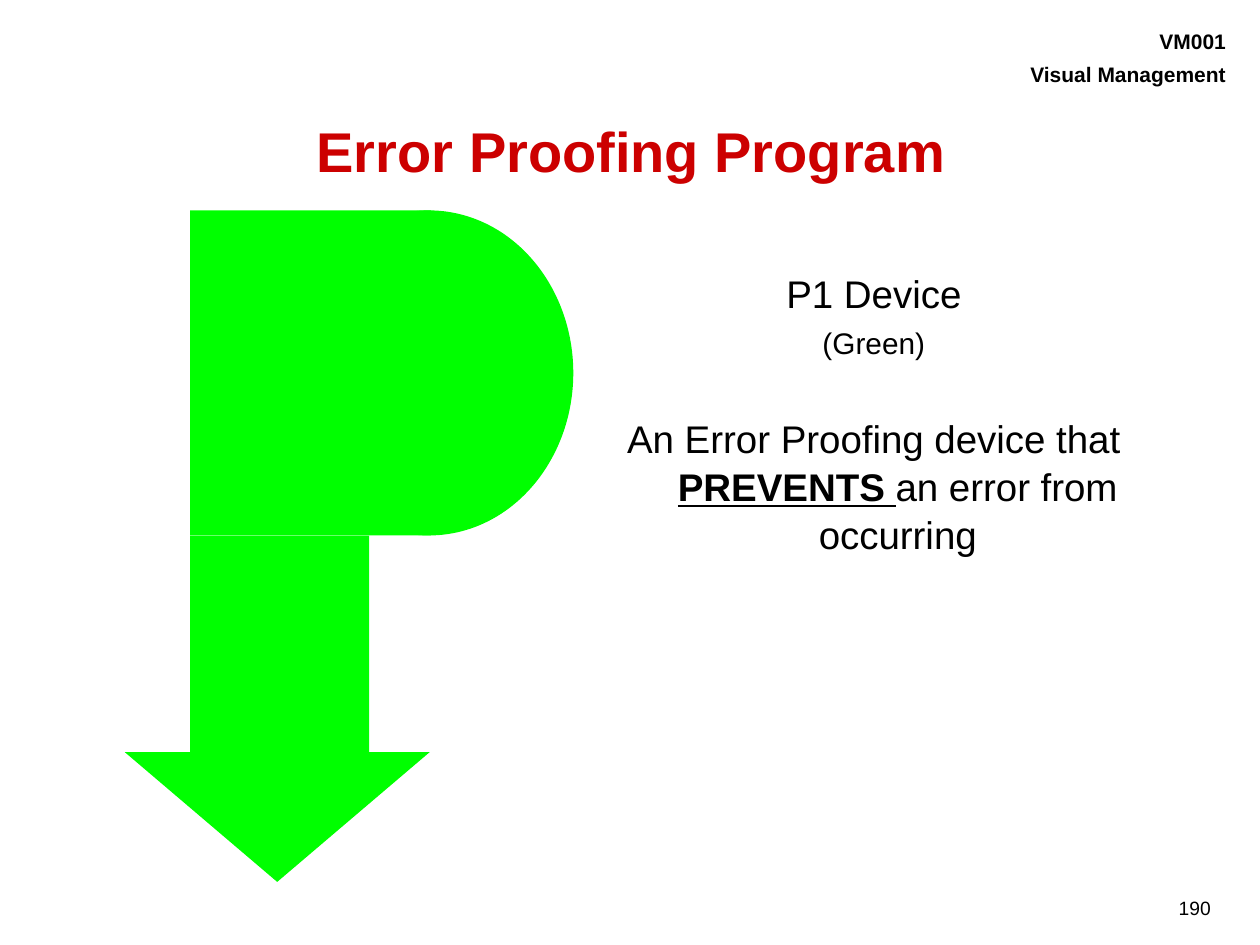
import pptx
import pptx.util
import pptx.dml.color
import pptx.enum.shapes
import pptx.enum.text

Inches = pptx.util.Inches
Pt = pptx.util.Pt
RGBColor = pptx.dml.color.RGBColor
Shape = pptx.enum.shapes.MSO_SHAPE
Align = pptx.enum.text.PP_ALIGN
Anchor = pptx.enum.text.MSO_ANCHOR

GREEN = RGBColor(0x00, 0xFF, 0x00)
RED = RGBColor(0xCC, 0x00, 0x00)
BLACK = RGBColor(0x00, 0x00, 0x00)


class Deck:
    font = "Arial"

    def __init__(self, slide):
        self.slide = slide

    def paint(self, shape):
        shape.shadow.inherit = False
        shape.fill.solid()
        shape.fill.fore_color.rgb = GREEN
        shape.line.fill.background()

    def block(self, kind, box):
        self.paint(self.slide.shapes.add_shape(kind, *map(Inches, box)))

    def outline(self, points):
        start, *rest = [(Inches(x), Inches(y)) for x, y in points]
        pen = self.slide.shapes.build_freeform(*start)
        pen.add_line_segments(rest, close=True)
        self.paint(pen.convert_to_shape())

    def text(self, box, lines, align, color=BLACK, bold=False,
             pad=(0.1, 0.05), anchor=Anchor.TOP, pitch=1.0, indent=0):
        frame = self.slide.shapes.add_textbox(*map(Inches, box)).text_frame
        frame.word_wrap = True
        frame.vertical_anchor = anchor
        frame.margin_left = frame.margin_right = Inches(pad[0])
        frame.margin_top = frame.margin_bottom = Inches(pad[1])
        frame.text = "\n".join(words for words, size, gap in lines)
        for para, (words, size, gap) in zip(frame.paragraphs, lines):
            if indent:
                props = para._p.get_or_add_pPr()
                props.set("marL", str(Inches(indent)))
                props.set("indent", str(-Inches(indent)))
            para.alignment = align
            para.line_spacing = pitch
            para.space_before = Pt(gap)
            for run in para.runs:
                self.style(run, size, color, bold)
        return frame

    def style(self, run, size, color=BLACK, bold=False, under=False):
        run.font.name = self.font
        run.font.size = Pt(size)
        run.font.color.rgb = color
        run.font.bold = bold
        run.font.underline = under


def main():
    show = pptx.Presentation()
    show.slide_width, show.slide_height = Inches(10), Inches(7.5)
    deck = Deck(show.slides.add_slide(show.slide_layouts[6]))

    deck.text((7.39, 7.07, 2.31, 0.27), [("190", 11, 0)], Align.RIGHT,
              pad=(0.09, 0.04))
    deck.text((7.38, 0.23, 2.35, 0.5),
              [("VM001", 12, 0), ("Visual Management", 12, 4)],
              Align.RIGHT, bold=True, pad=(0, 0))

    deck.block(Shape.RECTANGLE, (1.51, 1.67, 1.91, 2.58))
    deck.outline([(2.87, 4.27), (1.52, 4.27), (1.52, 5.97), (0.99, 5.97),
                  (2.2, 7), (3.41, 5.97), (2.87, 5.97)])
    deck.block(Shape.OVAL, (2.26, 1.67, 2.29, 2.58))
    deck.block(Shape.RECTANGLE, (1.51, 4.25, 1.42, 1.75))

    deck.text((0.77, 0.81, 8.48, 0.85), [("Error Proofing Program", 32, 0)],
              Align.CENTER, RED, True, anchor=Anchor.MIDDLE, pitch=0.85)
    body = deck.text((4.64, 2.08, 4.59, 3.33),
                     [("P1 Device", 22, 0), ("(Green)", 17, 4.2),
                      ("An Error Proofing device that ", 22, 30)],
                     Align.CENTER, pitch=1.04, indent=0.38)
    for words, strong in (("PREVENTS ", True), ("an error from occurring", False)):
        run = body.paragraphs[-1].add_run()
        run.text = words
        deck.style(run, 22, bold=strong, under=strong)

    show.save("out.pptx")


if __name__ == "__main__":
    main()
